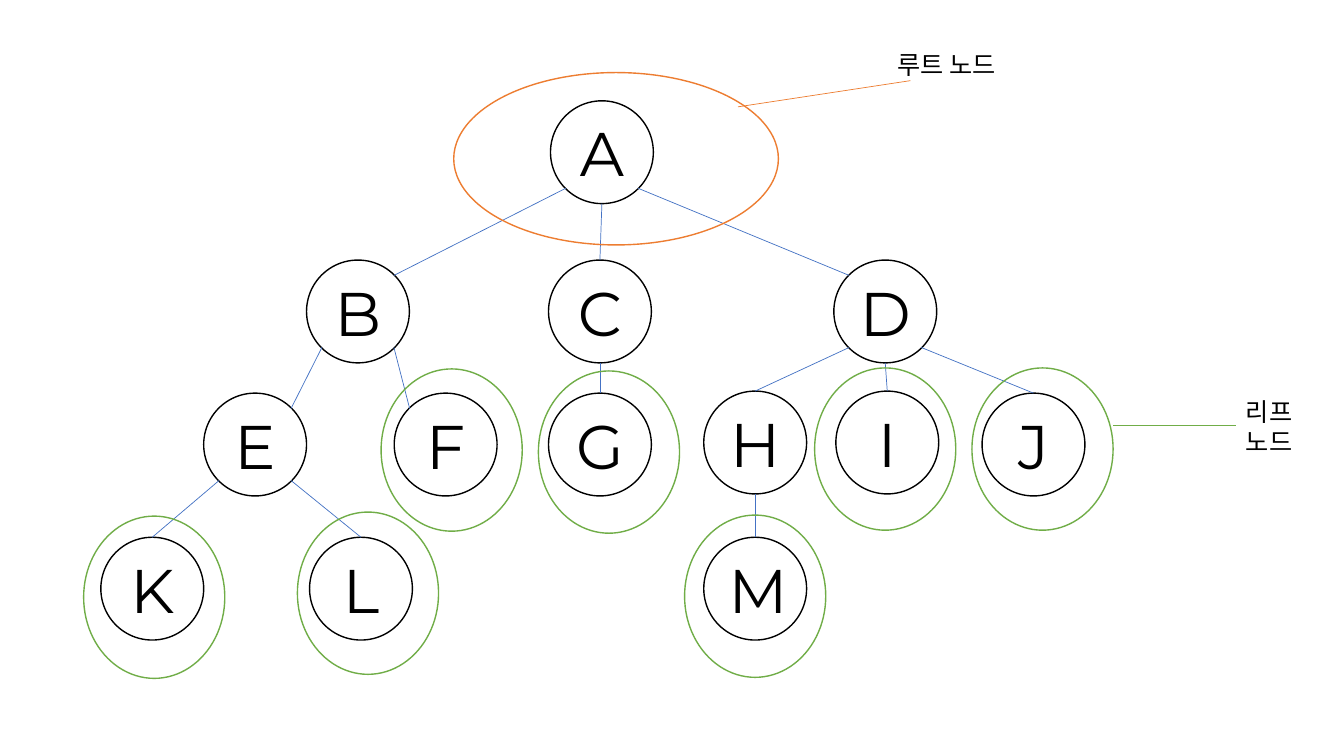
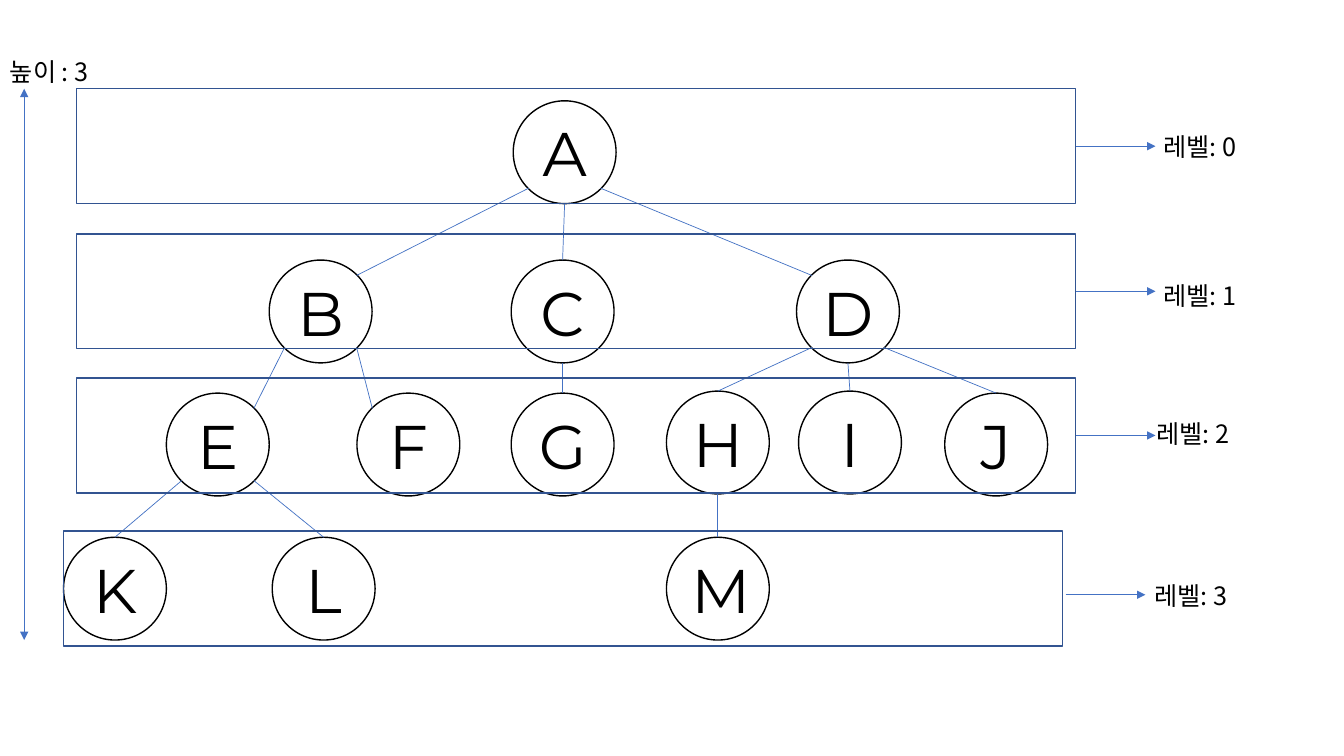
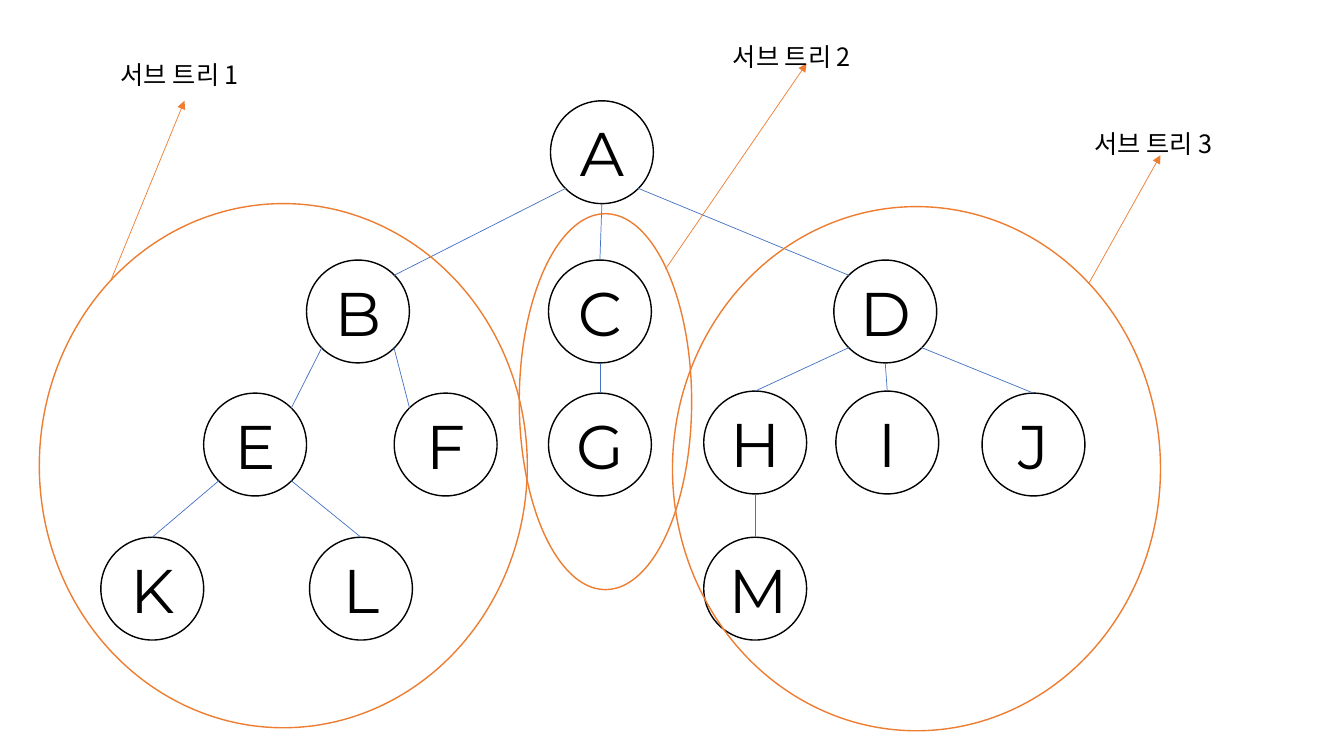
import dataclasses

import lxml.etree
import pptx
import pptx.dml.color
import pptx.enum.shapes
import pptx.enum.text
import pptx.oxml.ns
import pptx.util


@dataclasses.dataclass(frozen=True)
class Theme:
    """Colours, fonts, type sizes and line widths of all slides."""
    ink: str = "000000"
    paper: str = "FFFFFF"
    blue: str = "4472C4"
    navy: str = "325491"
    orange: str = "ED7D31"
    green: str = "70AD47"
    node_font: str = "Montserrat"
    note_font: str = "Noto Sans CJK KR"
    node_size: int = 44
    note_size: int = 18
    edge: float = 1
    thin: float = 0.5


theme = Theme()
color = pptx.dml.color.RGBColor.from_string
qn = pptx.oxml.ns.qn
shapes = pptx.enum.shapes.MSO_SHAPE
cell = pptx.util.Inches(1)  # one grid cell, 13.33 columns by 7.5 rows


def put(slide, box, text="", kind=None, line=None, fill=None):
    """Place a shape of the given kind, or a text label if there is none."""
    place = [round(cell * part) for part in box]
    if kind is None:
        shape = slide.shapes.add_textbox(*place)
        font, size = theme.note_font, theme.note_size
        shape.text_frame.word_wrap = True
        shape.text_frame.auto_size = pptx.enum.text.MSO_AUTO_SIZE.SHAPE_TO_FIT_TEXT
    else:
        shape = slide.shapes.add_shape(kind, *place)
        font, size = theme.node_font, theme.node_size
        shape.shadow.inherit = False
        shape.line.color.rgb = color(line)
        shape.line.width = pptx.util.Pt(theme.edge)
        if fill:
            shape.fill.solid()
            shape.fill.fore_color.rgb = color(fill)
        else:
            shape.fill.background()
    if text:
        shape.text_frame.text = text
        para = shape.text_frame.paragraphs[0]
        if kind is not None:
            para.alignment = pptx.enum.text.PP_ALIGN.CENTER
        run = para.runs[0]
        run.font.size = pptx.util.Pt(size)
        run.font.color.rgb = color(theme.ink)
        run.font.name = font
        asian = lxml.etree.SubElement(run.font._element, qn("a:ea"))
        asian.set("typeface", font)


def link(slide, start, end, hue=theme.blue, tips=()):
    """Draw a thin line with a triangle at each of the named tips."""
    ends = [round(cell * part) for part in (*start, *end)]
    line = slide.shapes.add_connector(
        pptx.enum.shapes.MSO_CONNECTOR.STRAIGHT, *ends)
    line.line.color.rgb = color(hue)
    line.line.width = pptx.util.Pt(theme.thin)
    for tip in tips:
        mark = lxml.etree.SubElement(line.line._ln, qn(tip))
        mark.set("type", "triangle")
    lxml.etree.SubElement(line._element.spPr, qn("a:effectLst"))


head, tail = "a:headEnd", "a:tailEnd"
deck = pptx.Presentation()
deck.slide_width = round(cell * 13.33)
deck.slide_height = round(cell * 7.5)

# The tree that all slides share
node = 1.02
nodes = {
    "A": (5.46, 1), "B": (3.04, 2.58), "C": (5.44, 2.58), "D": (8.27, 2.58),
    "E": (2.02, 3.9), "F": (3.91, 3.9), "G": (5.44, 3.9), "H": (6.98, 3.88),
    "I": (8.29, 3.88), "J": (9.74, 3.9), "K": (1, 5.33), "L": (3.07, 5.33),
    "M": (6.98, 5.33),
}
# Points on a circle's rim, as shares of its width and height
near, far = 0.15, 0.85
rim = {"n": (0.5, 0), "ne": (far, near), "nw": (near, near),
       "s": (0.5, 1), "se": (far, far), "sw": (near, far)}
edges = ["A sw B ne", "A s C n", "A se D nw", "B sw E ne", "B se F nw",
         "C s G n", "D sw H n", "D s I n", "D se J n", "H s M n",
         "E sw K n", "E se L n"]

slides = []
for shift in (0, -0.37, 0):
    slide = deck.slides.add_slide(deck.slide_layouts[6])
    slides.append(slide)
    for name, (left, top) in nodes.items():
        put(slide, (left + shift, top, node, node), name,
            shapes.OVAL, theme.ink, theme.paper)
    for edge in edges:
        upper, leave, lower, enter = edge.split()
        start, end = [
            (nodes[name][0] + shift + node * rim[side][0],
             nodes[name][1] + node * rim[side][1])
            for name, side in ((upper, leave), (lower, enter))]
        link(slide, start, end)
roots, levels, parts = slides

# Root and leaf nodes
put(roots, (4.5, 0.72, 3.22, 1.71), kind=shapes.OVAL, line=theme.orange)
for left, top in ((0.83, 5.12), (2.95, 5.08), (3.78, 3.66), (5.34, 3.68),
                  (6.79, 5.11), (8.08, 3.65), (9.64, 3.65)):
    put(roots, (left, top, 1.4, 1.61), kind=shapes.OVAL, line=theme.green)
link(roots, (7.32, 1.06), (9.03, 0.8), theme.orange)
link(roots, (11.04, 4.22), (12.26, 4.22), theme.green)
put(roots, (8.8, 0.44, 1.71, 0.4), "루트 노드")
put(roots, (12.26, 3.88, 1.07, 0.71), "리프 노드")

# Height and levels: band corner, arrow start, label corner
bands = [((0.76, 0.88), (10.67, 1.45), (11.44, 1.25)),
         ((0.76, 2.32), (10.67, 2.89), (11.44, 2.73)),
         ((0.76, 3.75), (10.67, 4.32), (11.37, 4.1)),
         ((0.63, 5.27), (10.57, 5.9), (11.35, 5.71))]
for depth, (band, start, label) in enumerate(bands):
    put(levels, (*band, 9.91, 1.14), kind=shapes.RECTANGLE, line=theme.navy)
    link(levels, start, (start[0] + 0.79, start[1]), tips=[tail])
    put(levels, (*label, 1.14, 0.4), f"레벨: {depth}")
link(levels, (0.24, 0.88), (0.24, 6.35), tips=[head, tail])
put(levels, (0, 0.51, 1.14, 0.4), "높이 : 3")

# Subtrees: ring, arrow start and end, label corner
rings = [((0.39, 2.02, 4.84, 5.2), (1.1, 2.78), (1.83, 1), (1.1, 0.54)),
         ((5.15, 2.12, 1.71, 3.73), (6.6, 2.67), (8, 0.63), (7.17, 0.36)),
         ((6.67, 2.05, 4.84, 5.2), (10.8, 2.81), (11.51, 1.54), (10.76, 1.22))]
for count, (ring, start, end, label) in enumerate(rings, 1):
    put(parts, ring, kind=shapes.OVAL, line=theme.orange)
    link(parts, start, end, theme.orange, [tail])
    put(parts, (*label, 1.66, 0.4), f"서브 트리 {count}")

deck.save("out.pptx")
